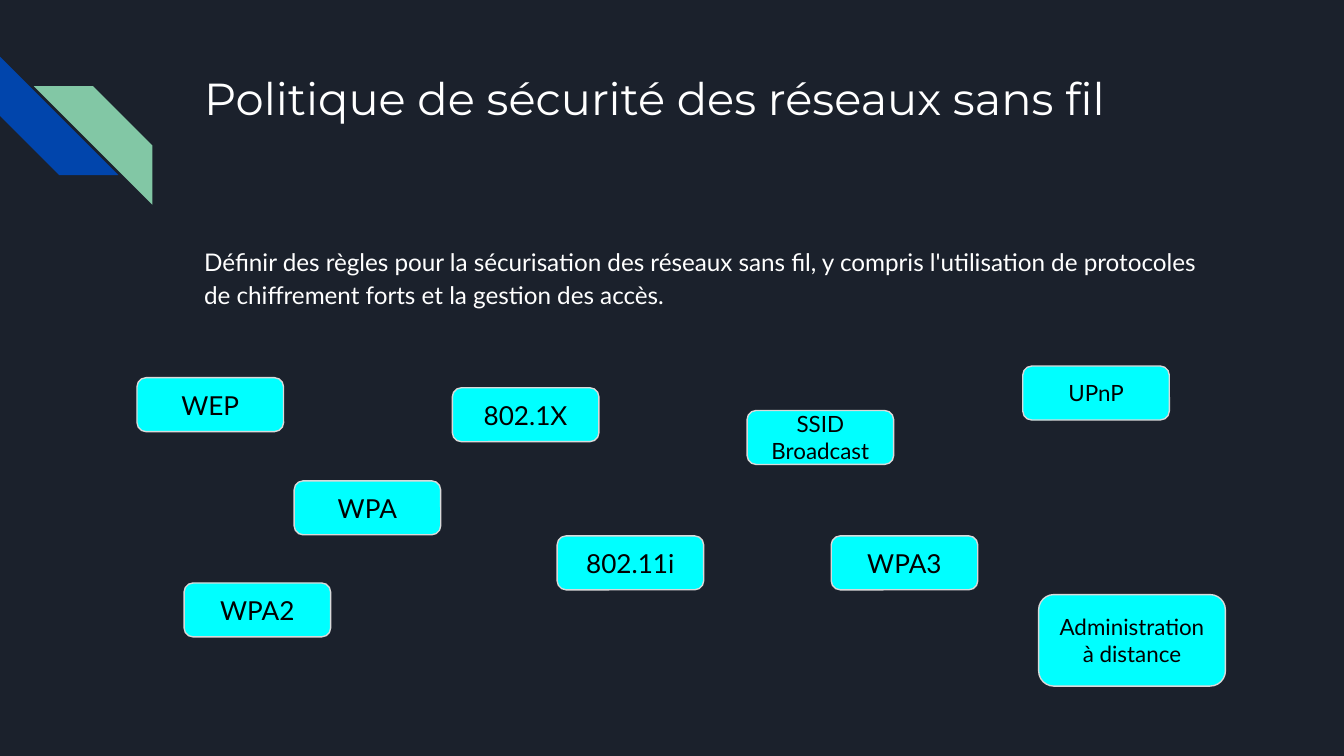
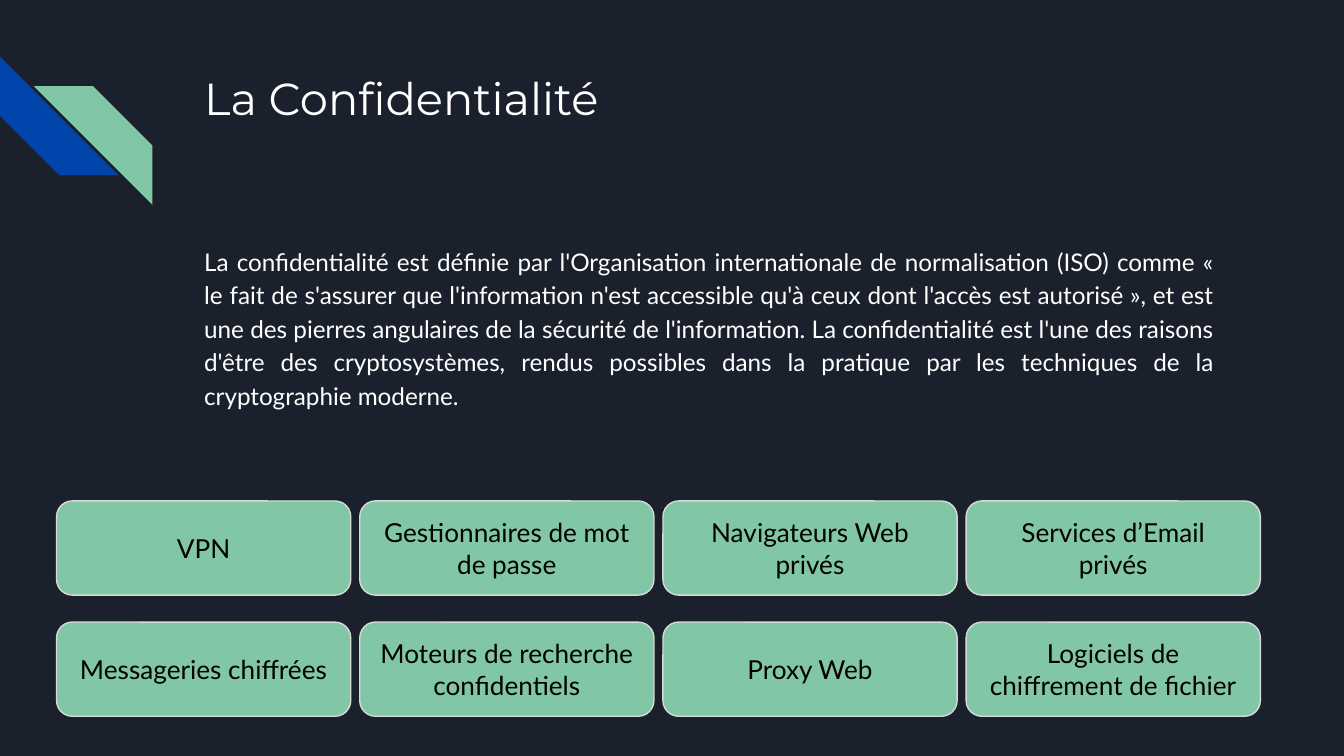
"""Build two slides on wireless security policy and confidentiality."""
from dataclasses import dataclass

from pptx import Presentation
from pptx.dml.color import RGBColor
from pptx.enum.shapes import MSO_SHAPE
from pptx.enum.text import MSO_ANCHOR, PP_ALIGN
from pptx.util import Cm, Pt


@dataclass(frozen=True)
class Theme:
    navy: str = "1B212C"
    blue: str = "0145AC"
    green: str = "82C7A5"
    cyan: str = "00FFFF"
    border: str = "D9D9D9"
    white: str = "FFFFFF"
    black: str = "000000"
    heading: str = "Montserrat"
    text: str = "Lato"
    title_size: int = 24
    body_size: int = 13
    label_size: int = 14
    small_size: int = 12


T = Theme()

WIFI_TITLE = "Politique de sécurité des réseaux sans fil"
WIFI_BODY = (
    "Définir des règles pour la sécurisation des réseaux sans fil, y compris "
    "l'utilisation de protocoles de chiffrement forts et la gestion des accès."
)
CHIP_SIZE = (2.77, 1.02)
LARGE_CHIP_SIZE = (3.53, 1.73)
CHIPS = [
    ("WEP", 2.59, 7.14, CHIP_SIZE, T.label_size),
    ("WPA", 5.56, 9.09, CHIP_SIZE, T.label_size),
    ("WPA2", 3.48, 11.02, CHIP_SIZE, T.label_size),
    ("802.1X", 8.55, 7.33, CHIP_SIZE, T.label_size),
    ("802.11i", 10.53, 10.13, CHIP_SIZE, T.label_size),
    ("SSID Broadcast", 14.12, 7.76, CHIP_SIZE, T.small_size),
    ("WPA3", 15.71, 10.13, CHIP_SIZE, T.label_size),
    ("UPnP", 19.33, 6.92, CHIP_SIZE, T.small_size),
    ("Administration à distance", 19.63, 11.24, LARGE_CHIP_SIZE, T.small_size),
]

PRIVACY_TITLE = "La Confidentialité"
PRIVACY_BODY = (
    "La confidentialité est définie par l'Organisation internationale de "
    "normalisation (ISO) comme « le fait de s'assurer que l'information n'est "
    "accessible qu'à ceux dont l'accès est autorisé », et est une des pierres "
    "angulaires de la sécurité de l'information. La confidentialité est l'une "
    "des raisons d'être des cryptosystèmes, rendus possibles dans la pratique "
    "par les techniques de la cryptographie moderne."
)
TOOLS = [
    ["VPN", "Gestionnaires de mot de passe", "Navigateurs Web privés",
     "Services d’Email privés"],
    ["Messageries chiffrées", "Moteurs de recherche confidentiels",
     "Proxy Web", "Logiciels de chiffrement de fichier"],
]
TOOL_SIZE = (5.56, 1.78)
TOOL_LEFT, TOOL_TOP = 1.07, 9.47
TOOL_GAP_X, TOOL_GAP_Y = 0.17, 0.51

TEXT_LEFT, TEXT_WIDTH = 3.61, 19.56
STRIPE_SIDE = 2.24


def rgb(value):
    return RGBColor.from_string(value)


def write(sp, text, size=T.label_size, font=T.text, color=T.white,
          align=PP_ALIGN.LEFT, anchor=MSO_ANCHOR.TOP, spacing=None, after=None):
    tf = sp.text_frame
    tf.word_wrap = True
    tf.vertical_anchor = anchor
    tf.margin_left = tf.margin_right = Cm(0.25)
    tf.margin_top = tf.margin_bottom = Cm(0.25)
    p = tf.paragraphs[0]
    p.alignment = align
    if spacing:
        p.line_spacing = spacing
    if after:
        p.space_after = Pt(after)
    r = p.add_run()
    r.text = text
    r.font.size = Pt(size)
    r.font.name = font
    r.font.color.rgb = rgb(color)


def add_shape(s, kind, x, y, w, h, fill, line=None):
    sp = s.shapes.add_shape(kind, Cm(x), Cm(y), Cm(w), Cm(h))
    sp.shadow.inherit = False
    sp.fill.solid()
    sp.fill.fore_color.rgb = rgb(fill)
    if line:
        sp.line.color.rgb = rgb(line)
        sp.line.width = Pt(0.75)
    else:
        sp.line.fill.background()
    return sp


def add_text(s, text, y, h, **fmt):
    sp = s.shapes.add_textbox(Cm(TEXT_LEFT), Cm(y), Cm(TEXT_WIDTH), Cm(h))
    write(sp, text, **fmt)


def add_label(s, text, x, y, box, fill, size=T.label_size):
    sp = add_shape(s, MSO_SHAPE.ROUNDED_RECTANGLE, x, y, *box, fill, T.border)
    write(sp, text, size=size, color=T.black, align=PP_ALIGN.CENTER,
          anchor=MSO_ANCHOR.MIDDLE)


def add_stripe(s, x, y, fill):
    return add_shape(s, MSO_SHAPE.DIAGONAL_STRIPE, x, y,
                     STRIPE_SIDE, STRIPE_SIDE, fill)


def add_slide(prs, title, body, body_height, align=PP_ALIGN.LEFT):
    s = prs.slides.add_slide(prs.slide_layouts[6])
    s.background.fill.solid()
    s.background.fill.fore_color.rgb = rgb(T.navy)
    add_stripe(s, 0, 1.07, T.blue).rotation = 270
    green_stripe = add_stripe(s, 0.64, 1.63, T.green)
    green_stripe._element.spPr.get_or_add_xfrm().set("flipH", "1")
    add_text(s, title, 1.09, 2.54, size=T.title_size, font=T.heading)
    add_text(s, body, 4.34, body_height, size=T.body_size, align=align,
             spacing=1.15, after=12)
    return s


def main():
    prs = Presentation()
    prs.slide_width, prs.slide_height = Cm(25.4), Cm(14.29)

    s = add_slide(prs, WIFI_TITLE, WIFI_BODY, 1.85)
    for text, x, y, box, size in CHIPS:
        add_label(s, text, x, y, box, T.cyan, size)

    s = add_slide(prs, PRIVACY_TITLE, PRIVACY_BODY, 3.76, PP_ALIGN.JUSTIFY)
    w, h = TOOL_SIZE
    for row, names in enumerate(TOOLS):
        for col, name in enumerate(names):
            add_label(s, name, TOOL_LEFT + col * (w + TOOL_GAP_X),
                      TOOL_TOP + row * (h + TOOL_GAP_Y), TOOL_SIZE, T.green)

    prs.save("out.pptx")


if __name__ == "__main__":
    main()
